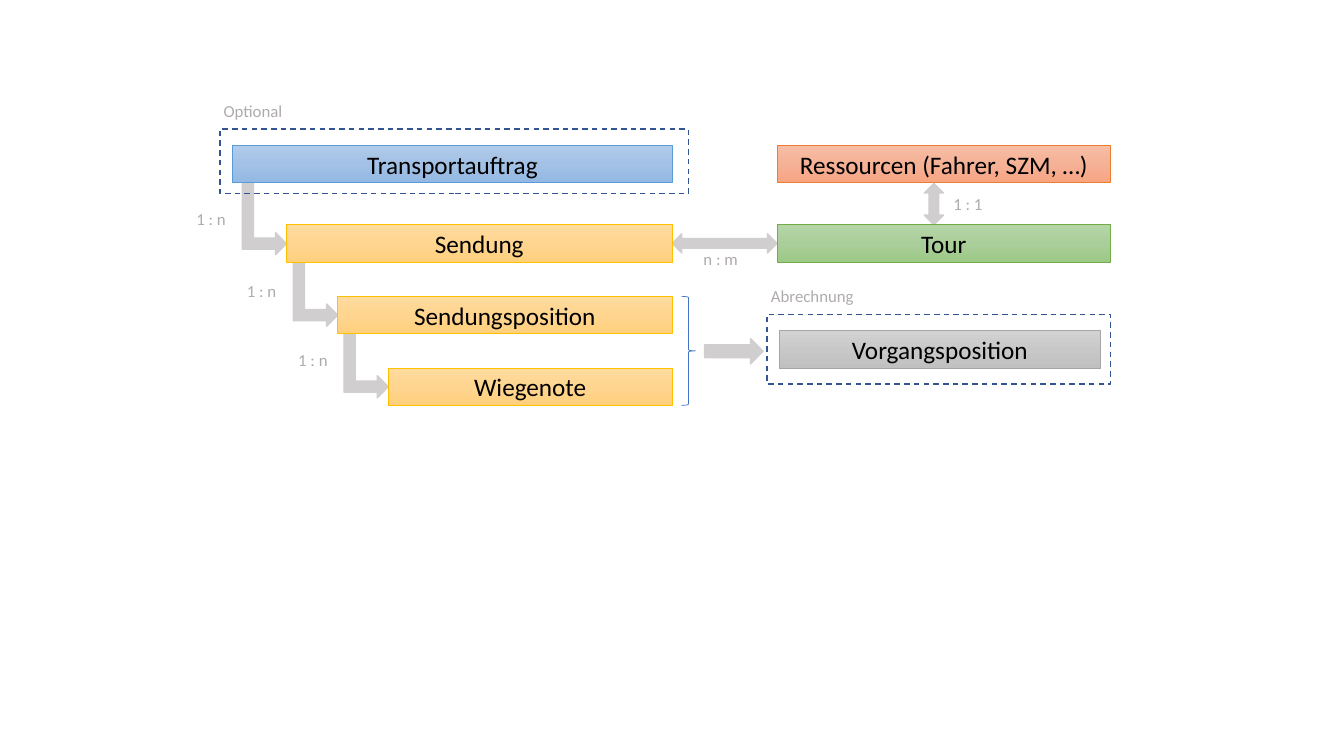
from copy import deepcopy
from pptx import Presentation
from pptx import util as u
from pptx.dml.color import RGBColor
from pptx.enum import dml, shapes, text

# Content: name, left, top, width, colour scheme
ORDER_CHAIN = [
    ("Transportauftrag", 166.3, 103.7, 313.7, "blue"),
    ("Sendung", 204.7, 160.6, 275.3, "yellow"),
    ("Sendungsposition", 241.2, 211.7, 238.8, "yellow"),
    ("Wiegenote", 277.4, 262.8, 202.6, "yellow"),
]
OTHER_BOXES = [
    ("Ressourcen (Fahrer, SZM, …)", 555.3, 103.7, 237.8, "orange"),
    ("Tour", 555.3, 160.6, 237.8, "green"),
    ("Vorgangsposition", 556.8, 236.3, 229, "grey"),
]
SCHEMES = {  # three gradient stops, then the outline
    "blue": ("B1CBE9", "A3C1E5", "93B9E4", "5B9BD5"),
    "yellow": ("FFDB9E", "FFD590", "FFD07C", "FFC000"),
    "orange": ("F7BDA5", "F5B196", "F8A582", "ED7D31"),
    "green": ("B5D5A7", "AACE9A", "9CC987", "70AD47"),
    "grey": ("D2D2D2", "C8C8C8", "C0C0C0", "A5A5A5"),
}
LABELS = [
    ("Optional", 152.6, 68.4, 88.6),
    ("Abrechnung", 543.6, 200.9, 88.6),
    ("1 : n", 133.2, 145.4, 39.6),
    ("1 : n", 169.2, 197.3, 39.6),
    ("1 : n", 205.9, 246.2, 39.6),
    ("n : m", 495.4, 174.2, 43.9),
    ("1 : 1", 673.9, 134.6, 39.6),
]
FRAMES = [(157, 92.2, 334.8, 46.1), (547.9, 224.6, 245.5, 49.7)]
BOX_HEIGHT, BEND_WIDTH, BEND_DROP = 26.8, 31.7, 7.9
ARROW_GREY, LABEL_GREY = "D0CECE", "AFABAB"
KIND = shapes.MSO_SHAPE

presentation = Presentation()
presentation.slide_width, presentation.slide_height = u.Pt(960), u.Pt(540)
slide = presentation.slides.add_slide(presentation.slide_layouts[6])


def colour(value):
    return RGBColor.from_string(value)


def set_all(target, values):
    for name, value in values.items():
        setattr(target, name, value)


def add_shape(kind, left, top, width, height, line, weight, fill=None):
    shape = slide.shapes.add_shape(kind, *map(u.Pt, (left, top, width, height)))
    shape.shadow.inherit = False
    shape.line.color.rgb = colour(line)
    shape.line.width = u.Pt(weight)
    if fill:
        shape.fill.solid()
        shape.fill.fore_color.rgb = colour(fill)
    else:
        shape.fill.background()
    return shape


def add_arrow(kind, left, top, width, height, turned=False):
    if turned:  # the unrotated shape shares its centre with the turned one
        left, top = left + (width - height) / 2, top + (height - width) / 2
        width, height = height, width
    arrow = add_shape(kind, left, top, width, height, ARROW_GREY, 1, ARROW_GREY)
    arrow.rotation = 90 if turned else 0


def write(shape, words, size, ink, alignment):
    paragraph = shape.text_frame.paragraphs[0]
    paragraph.alignment = alignment
    run = paragraph.add_run()
    run.text = words
    set_all(run.font, {"name": "Calibri", "size": u.Pt(size)})
    run.font.color.rgb = colour(ink)


def add_box(name, left, top, width, scheme):
    *stops, line = SCHEMES[scheme]
    box = add_shape(KIND.RECTANGLE, left, top, width, BOX_HEIGHT, line, 0.5)
    box.fill.gradient()
    box.fill.gradient_angle = 270
    stop_list = box._element.xpath(".//a:gsLst")[0]
    stop_list.insert(1, deepcopy(stop_list[0]))
    for index, (stop, value) in enumerate(zip(box.fill.gradient_stops, stops)):
        stop.position = index / 2
        stop.color.rgb = colour(value)
    set_all(box.text_frame, {"vertical_anchor": text.MSO_ANCHOR.MIDDLE, "word_wrap": True})
    write(box, name, 18, "000000", text.PP_ALIGN.CENTER)


# Bent arrows from each box of the chain to the next
for (_, _, top, *_), (_, next_left, next_top, *_) in zip(ORDER_CHAIN, ORDER_CHAIN[1:]):
    start = top + BOX_HEIGHT
    end = next_top + BOX_HEIGHT / 2 + BEND_DROP
    add_arrow(KIND.BENT_UP_ARROW, next_left - BEND_WIDTH, start, BEND_WIDTH, end - start, True)

# Straight arrows
add_arrow(KIND.LEFT_RIGHT_ARROW, 480.2, 167, 74.9, 13.7)
add_arrow(KIND.LEFT_RIGHT_ARROW, 660.2, 131, 13.7, 29.5, True)
add_arrow(KIND.RIGHT_ARROW, 503.3, 241.9, 41.8, 18)

# Dashed frames
for frame in FRAMES:
    outline = add_shape(KIND.RECTANGLE, *frame, "325491", 1)
    outline.line.dash_style = dml.MSO_LINE.DASH

# Boxes, and the brace beside the last two of the chain
for box in ORDER_CHAIN + OTHER_BOXES:
    add_box(*box)
brace_top = ORDER_CHAIN[2][2]
brace_height = ORDER_CHAIN[3][2] + BOX_HEIGHT - brace_top
add_shape(KIND.RIGHT_BRACE, 486.7, brace_top, 10.1, brace_height, "4472C4", 0.5)

# Labels
for words, left, top, width in LABELS:
    label = slide.shapes.add_textbox(*map(u.Pt, (left, top, width, 21.8)))
    set_all(label.text_frame, {"word_wrap": True, "auto_size": text.MSO_AUTO_SIZE.SHAPE_TO_FIT_TEXT})
    write(label, words, 12, LABEL_GREY, text.PP_ALIGN.LEFT)

presentation.save("out.pptx")
